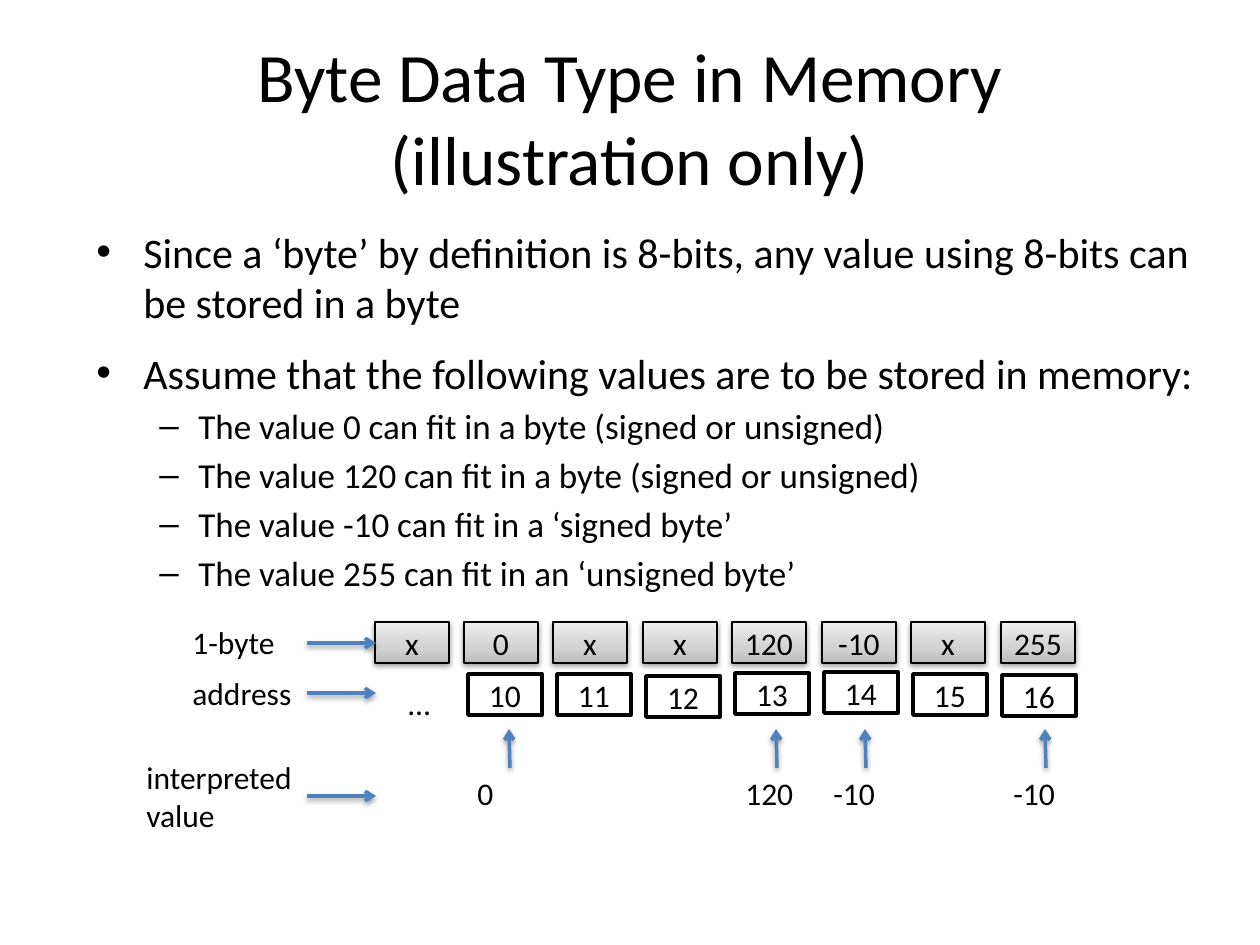
from copy import deepcopy

from lxml import etree
from pptx import Presentation
from pptx import util as u
from pptx.dml.color import RGBColor
from pptx.enum import shapes, text
from pptx.oxml import ns

SCALE = 914400 / 126
FONT = "Calibri"
BLACK = RGBColor(0, 0, 0)
WHITE = RGBColor(255, 255, 255)
BLUE = RGBColor(0x4F, 0x81, 0xBD)
GRAYS = [
    (0, RGBColor(0xBD, 0xBD, 0xBD)),
    (0.35, RGBColor(0xD1, 0xD1, 0xD1)),
    (1, RGBColor(0xEE, 0xEE, 0xEE)),
]
LEFT, CENTER = text.PP_ALIGN.LEFT, text.PP_ALIGN.CENTER
TOP, MIDDLE = text.MSO_ANCHOR.TOP, text.MSO_ANCHOR.MIDDLE

BYTES = ["x", "0", "x", "x", "120", "-10", "x", "255"]
TOPS = [674, 674, 676, 673, 672, 674, 675]
VALUES = [(465, "0"), (733, "120"), (821, "-10"), (1001, "-10")]
TIPS = [509, 776, 865, 1045]
LABELS = [
    (180, 617, 127, 50, "1-byte"),
    (180, 668, 127, 50, "address"),
    (396, 678, 34, 50, "…"),
    (134, 752, 173, 89, "interpreted\nvalue"),
]
FACTS = [
    "The value 0 can fit in a byte (signed or unsigned)",
    "The value 120 can fit in a byte (signed or unsigned)",
    "The value -10 can fit in a ‘signed byte’",
    "The value 255 can fit in an ‘unsigned byte’",
]


def px(n):
    return u.Emu(round(n * SCALE))


def sub(node, tag, **attrs):
    return etree.SubElement(node, ns.qn("a:" + tag), **attrs)


def shade(props):
    for old in props.findall(ns.qn("a:effectLst")):
        props.remove(old)
    drop = sub(sub(props, "effectLst"), "outerShdw", blurRad="40000",
               dist="20000", dir="5400000", rotWithShape="0")
    sub(sub(drop, "srgbClr", val=str(BLACK)), "alpha", val="38000")


def write(frame, words, size=18, align=LEFT, anchor=TOP, inset=None):
    frame.word_wrap = True
    frame.vertical_anchor = anchor
    if inset is not None:
        frame.margin_left = frame.margin_right = px(inset)
        frame.margin_top = frame.margin_bottom = px(inset)
    frame.text = words
    for para in frame.paragraphs:
        para.alignment = align
        style(para, size)


def style(para, size):
    para.font.name = FONT
    para.font.size = u.Pt(size)
    para.font.color.rgb = BLACK
    for run in para.runs:
        run.font.name = FONT
        run.font.size = u.Pt(size)
        run.font.color.rgb = BLACK


def label(slide, x, y, w, h, words, grow=True, **form):
    box = slide.shapes.add_textbox(px(x), px(y), px(w), px(h))
    write(box.text_frame, words, **form)
    if grow:
        box.text_frame.auto_size = text.MSO_AUTO_SIZE.SHAPE_TO_FIT_TEXT
    return box.text_frame


def bullet(para, mark, margin, indent, size):
    style(para, size)
    para.space_before = u.Pt(size / 5)
    props = para._p.get_or_add_pPr()
    props.set("marL", str(px(margin)))
    props.set("indent", str(px(-indent)))
    sub(props, "buFont", typeface="Arial")
    sub(props, "buChar", char=mark)


def points(slide, y, h, head, facts=()):
    frame = label(slide, 84, y, 1134, h, "\n".join([head, *facts]), grow=False)
    first, *rest = frame.paragraphs
    bullet(first, "•", 47, 47, 24)
    for para in rest:
        para.level = 1
        bullet(para, "–", 102, 39, 20)


def cell(slide, x, y, words, width):
    box = slide.shapes.add_shape(shapes.MSO_SHAPE.RECTANGLE,
                                 px(x), px(y), px(74), px(41))
    box.shadow.inherit = False
    box.line.color.rgb = BLACK
    box.line.width = u.Pt(width)
    write(box.text_frame, words, align=CENTER, anchor=MIDDLE, inset=0)
    return box


def byte(slide, x, y, words):
    box = cell(slide, x, y, words, 0.75)
    box.fill.gradient()
    box.fill.gradient_angle = 90
    stops = box._element.spPr.find(".//" + ns.qn("a:gsLst"))
    stops.append(deepcopy(stops[-1]))
    for stop, (place, color) in zip(box.fill.gradient_stops, GRAYS):
        stop.position = place
        stop.color.rgb = color
    shade(box._element.spPr)


def address(slide, x, y, words):
    box = cell(slide, x, y, words, 2)
    box.fill.solid()
    box.fill.fore_color.rgb = WHITE


def arrow(slide, x1, y1, x2, y2):
    line = slide.shapes.add_connector(shapes.MSO_CONNECTOR.STRAIGHT,
                                      px(x1), px(y1), px(x2), px(y2))
    line.line.color.rgb = BLUE
    line.line.width = u.Pt(2)
    sub(line.line._get_or_add_ln(), "tailEnd", type="arrow")
    shade(line._element.spPr)


def main():
    deck = Presentation()
    deck.slide_width, deck.slide_height = px(1260), px(945)
    slide = deck.slides.add_slide(deck.slide_layouts[6])

    label(slide, 63, 38, 1134, 157,
          "Byte Data Type in Memory\v(illustration only)",
          grow=False, size=39.6, align=CENTER, anchor=MIDDLE)
    points(slide, 220, 134, "Since a ‘byte’ by definition is 8-bits, "
           "any value using 8-bits can be stored in a byte")
    points(slide, 341, 247, "Assume that the following values "
           "are to be stored in memory:", FACTS)

    for i, words in enumerate(BYTES):
        byte(slide, 375 + i * 626 // 7, 622, words)
    for i, top in enumerate(TOPS):
        address(slide, 468 + i * 89, top, str(10 + i))
    for spot in LABELS:
        label(slide, *spot)
    for y in (643, 693, 796):
        arrow(slide, 307, y, 376, y)
    for (x, words), tip in zip(VALUES, TIPS):
        label(slide, x, 768, 89, 50, words)
        arrow(slide, tip + 1, 768, tip, 729)

    deck.save("out.pptx")


if __name__ == "__main__":
    main()
